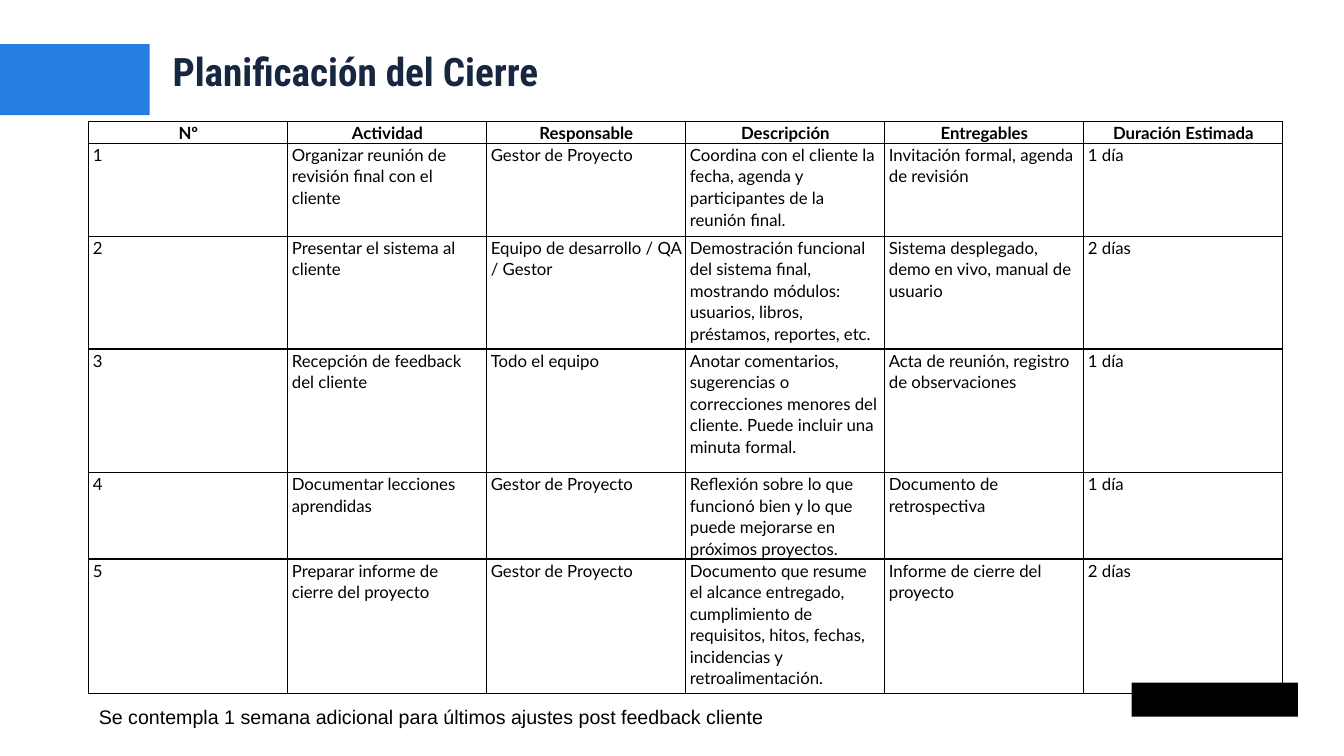
from typing import NamedTuple

from lxml import etree
from pptx import Presentation
from pptx.dml.color import RGBColor
from pptx.enum import shapes, text
from pptx.oxml import ns
from pptx.util import Cm, Pt

BLACK = "000000"
WHITE = "FFFFFF"
BLUE = "257CE1"
NAVY = "172740"
PLAN_WIDTH = 30.09


class Block(NamedTuple):
    left: float
    top: float
    width: float
    height: float
    ink: str


class Task(NamedTuple):
    name: str
    owner: str
    detail: str
    output: str
    time: str
    height: float


BAND = Block(0, 1.11, 3.77, 1.79, BLUE)
BADGE = Block(28.52, 17.2, 4.19, 0.86, BLACK)

HEADS = ["Nº", "Actividad", "Responsable", "Descripción", "Entregables",
         "Duración Estimada"]
HEAD_HEIGHT = 0.51

TASKS = [
    Task("Organizar reunión de revisión final con el cliente",
         "Gestor de Proyecto",
         "Coordina con el cliente la fecha, agenda y participantes de la "
         "reunión final.",
         "Invitación formal, agenda de revisión", "1 día", 2.34),
    Task("Presentar el sistema al cliente",
         "Equipo de desarrollo / QA / Gestor",
         "Demostración funcional del sistema final, mostrando módulos: "
         "usuarios, libros, préstamos, reportes, etc.",
         "Sistema desplegado, demo en vivo, manual de usuario", "2 días", 2.84),
    Task("Recepción de feedback del cliente",
         "Todo el equipo",
         "Anotar comentarios, sugerencias o correcciones menores del cliente. "
         "Puede incluir una minuta formal.",
         "Acta de reunión, registro de observaciones", "1 día", 3.12),
    Task("Documentar lecciones aprendidas",
         "Gestor de Proyecto",
         "Reflexión sobre lo que funcionó bien y lo que puede mejorarse en "
         "próximos proyectos.",
         "Documento de retrospectiva", "1 día", 2.08),
    Task("Preparar informe de cierre del proyecto",
         "Gestor de Proyecto",
         "Documento que resume el alcance entregado, cumplimiento de "
         "requisitos, hitos, fechas, incidencias y retroalimentación.",
         "Informe de cierre del proyecto", "2 días", 3.38),
]


def color(code: str) -> RGBColor:
    return RGBColor.from_string(code)


def write(frame, words: str, *, font: str, size: float, ink: str = BLACK,
          bold: bool = False, align=text.PP_ALIGN.LEFT, line: float = 1.0,
          after: float = 0) -> None:
    frame.word_wrap = True
    para = frame.paragraphs[0]
    para.alignment = align
    para.line_spacing = line
    para.space_after = Pt(after)
    run = para.add_run()
    run.text = words
    run.font.name = font
    run.font.size = Pt(size)
    run.font.bold = bold
    run.font.color.rgb = color(ink)


def outline(cell, ink: str, width: float) -> None:
    """Draw a solid border on all four sides of a table cell."""
    props = cell._tc.get_or_add_tcPr()
    for side in ("a:lnL", "a:lnR", "a:lnT", "a:lnB"):
        edge = etree.SubElement(props, ns.qn(side), w=str(Pt(width)))
        fill = etree.SubElement(edge, ns.qn("a:solidFill"))
        etree.SubElement(fill, ns.qn("a:srgbClr"), val=ink)


def add_label(slide, left: float, top: float, width: float, height: float,
              words: str, **style) -> None:
    box = slide.shapes.add_textbox(Cm(left), Cm(top), Cm(width), Cm(height))
    write(box.text_frame, words, **style)


def add_block(slide, block: Block) -> None:
    shape = slide.shapes.add_shape(
        shapes.MSO_SHAPE.RECTANGLE, Cm(block.left), Cm(block.top),
        Cm(block.width), Cm(block.height))
    shape.shadow.inherit = False
    shape.fill.solid()
    shape.fill.fore_color.rgb = color(block.ink)
    shape.line.fill.background()


def add_plan(slide) -> None:
    rows = [HEADS] + [[str(num), *task[:-1]]
                      for num, task in enumerate(TASKS, 1)]
    sizes = [HEAD_HEIGHT] + [task.height for task in TASKS]
    table = slide.shapes.add_table(
        len(rows), len(HEADS), Cm(2.24), Cm(3.07),
        Cm(PLAN_WIDTH), Cm(sum(sizes))).table
    table.first_row = False
    table.horz_banding = False
    for col in table.columns:
        col.width = Cm(PLAN_WIDTH / len(HEADS))
    for r, (row, size) in enumerate(zip(rows, sizes)):
        table.rows[r].height = Cm(size)
        head = r == 0
        for c, words in enumerate(row):
            cell = table.cell(r, c)
            cell.margin_left = cell.margin_right = Cm(0.1)
            cell.margin_top = cell.margin_bottom = Cm(0)
            outline(cell, BLACK, 1)
            cell.fill.background()
            align = text.PP_ALIGN.CENTER if head else text.PP_ALIGN.LEFT
            write(cell.text_frame, words, font="Lato", size=12, bold=head,
                  align=align, line=1.07, after=8)


def main() -> None:
    deck = Presentation()
    deck.slide_width = Cm(33.87)
    deck.slide_height = Cm(19.05)
    slide = deck.slides.add_slide(deck.slide_layouts[6])
    slide.background.fill.solid()
    slide.background.fill.fore_color.rgb = color(WHITE)
    for block in (BAND, BADGE):
        add_block(slide, block)
    add_label(slide, 4.1, 1.19, 28.63, 1.24, "Planificación del Cierre",
              font="Roboto Condensed", size=28, ink=NAVY, bold=True, line=0.9)
    add_plan(slide)
    add_label(slide, 2.24, 17.63, 18.47, 0.86,
              "Se contempla 1 semana adicional para últimos ajustes post "
              "feedback cliente", font="Arial", size=14)
    deck.save("out.pptx")


if __name__ == "__main__":
    main()
